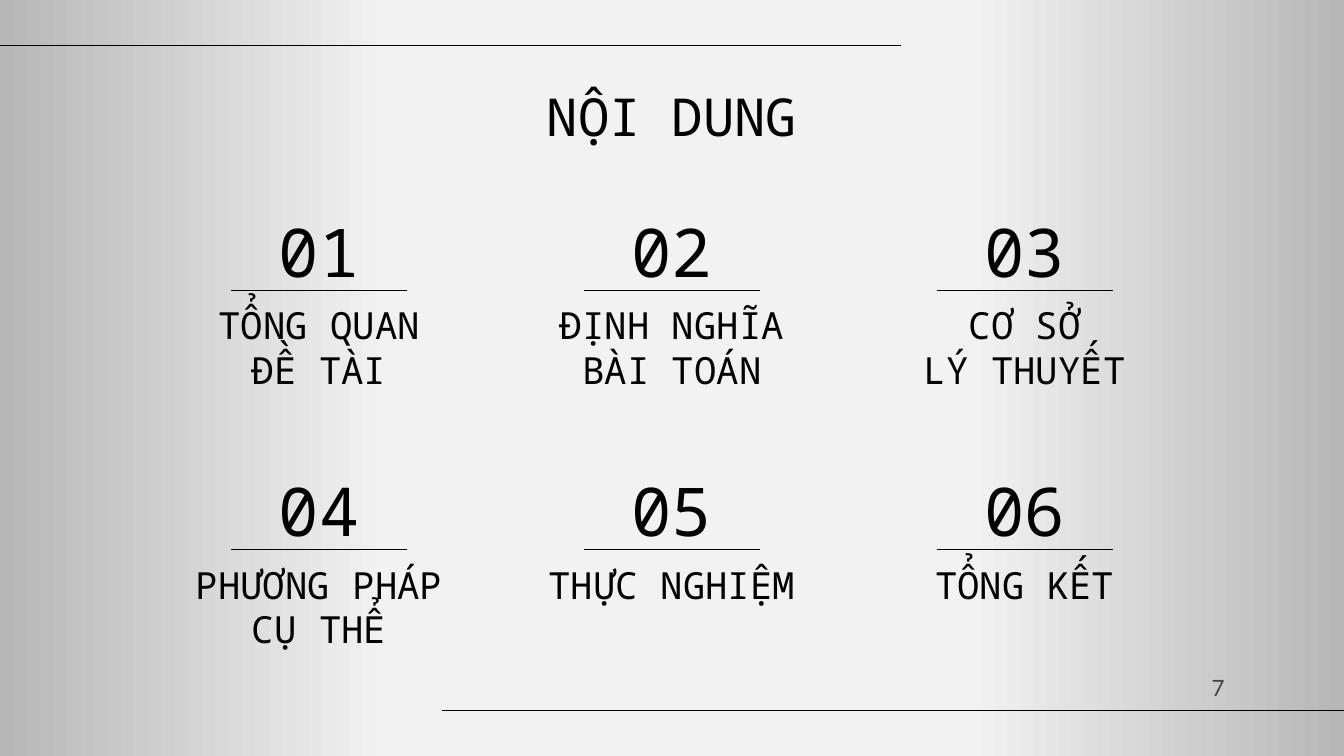
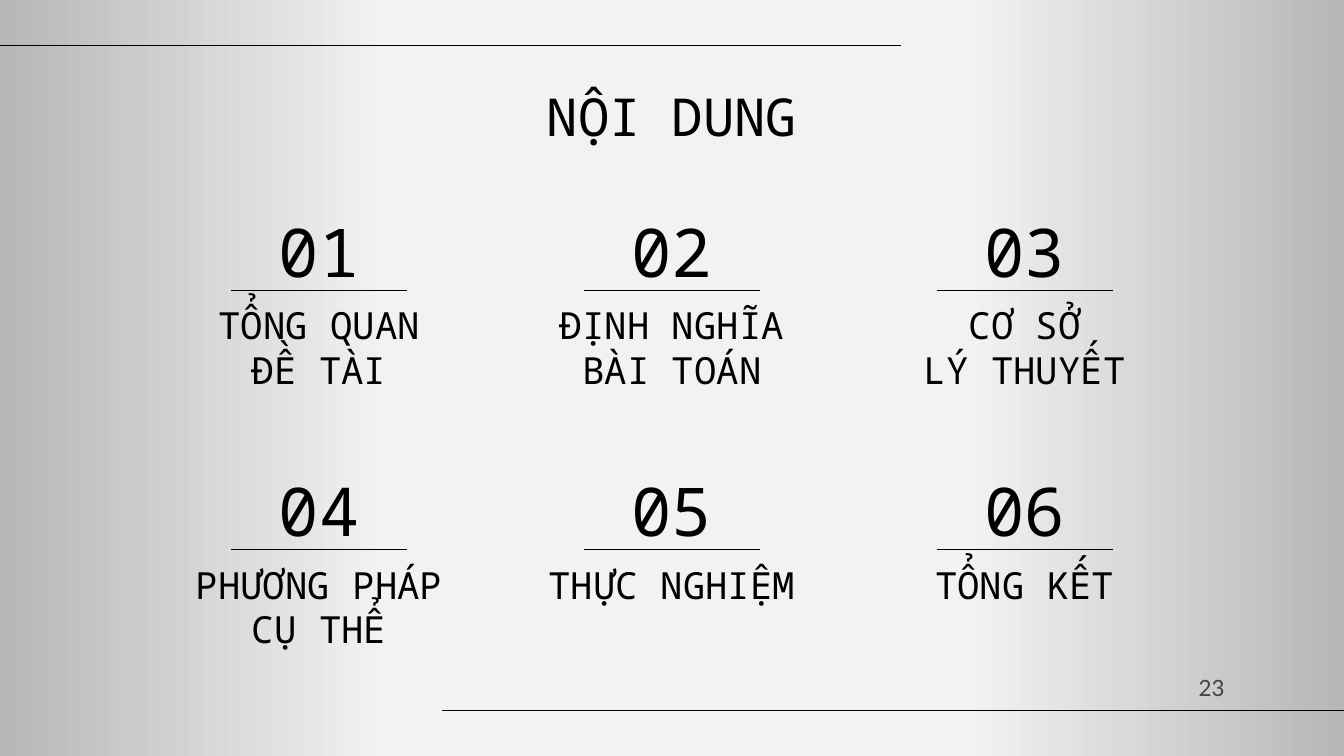
from lxml import etree
from pptx import Presentation
from pptx import util as u
from pptx.dml.color import RGBColor
from pptx.enum import shapes, text
from pptx.oxml.ns import qn

PX = 4572  # EMU in one px, 200 px to the inch
BLACK = RGBColor(0x00, 0x00, 0x00)
GREY = RGBColor(0x43, 0x43, 0x43)
EDGE = RGBColor(0xB7, 0xB7, 0xB7)
CENTRE = RGBColor(0xF2, 0xF2, 0xF2)
BACKGROUND_STOPS = [(0, EDGE), (29, CENTRE), (72, CENTRE), (100, EDGE)]
MONO = "Noto Sans Mono"
LATO = "Lato"

# Agenda grid: column centres and rule heights
COLUMNS = [475, 1000, 1525]
ROWS = [432, 818]
RULE_WIDTH = 262
NUMBER_WIDTH, NUMBER_HEIGHT = 192, 116
LABEL_WIDTH = 408
LABEL_GAP = 10  # keeps stacked accents clear of the rule

# Label paragraphs, label box width and height, in reading order
TOPICS = [
    (["TỔNG QUAN ĐỀ TÀI"], LABEL_WIDTH, 160),
    (["ĐỊNH NGHĨA BÀI TOÁN"], LABEL_WIDTH, 160),
    (["CƠ SỞ", "LÝ THUYẾT"], LABEL_WIDTH, 140),
    (["PHƯƠNG PHÁP", "CỤ THỂ"], 428, 154),
    (["THỰC NGHIỆM"], LABEL_WIDTH, 82),
    (["TỔNG KẾT"], LABEL_WIDTH, 82),
]
PAGE_NUMBERS = [7, 23]


def px(value):
    return u.Emu(round(value * PX))


def add_text(slide, lines, left, top, width, height, *, size, font=MONO,
             color=BLACK, align=text.PP_ALIGN.CENTER,
             anchor=text.MSO_ANCHOR.TOP, inset=(8, 8)):
    shape = slide.shapes.add_textbox(px(left), px(top), px(width), px(height))
    frame = shape.text_frame
    frame.word_wrap = True
    frame.vertical_anchor = anchor
    frame.margin_left = frame.margin_right = px(inset[0])
    frame.margin_top = frame.margin_bottom = px(inset[1])
    frame.text = "\n".join(lines)
    for paragraph in frame.paragraphs:
        paragraph.alignment = align
        for run in paragraph.runs:
            run.font.size = u.Pt(size)
            run.font.name = font
            run.font.color.rgb = color


def add_rule(slide, start, end, y):
    rule = slide.shapes.add_connector(
        shapes.MSO_CONNECTOR.STRAIGHT, px(start), px(y), px(end), px(y))
    rule.line.color.rgb = BLACK
    rule.line.width = u.Pt(0.75)
    etree.SubElement(rule.element.spPr, qn("a:effectLst"))


def set_background(slide):
    fill = slide.background.fill
    fill.gradient()
    fill.gradient_angle = 0
    stop_list = next(slide.element.iter(qn("a:gsLst")))
    for stop in list(stop_list):
        stop_list.remove(stop)
    for position, color in BACKGROUND_STOPS:
        stop = etree.SubElement(stop_list, qn("a:gs"), pos=str(position * 1000))
        etree.SubElement(stop, qn("a:srgbClr"), val=str(color))


def add_frame(slide, title, page_number):
    """Background, edge rules, title and page number."""
    set_background(slide)
    add_rule(slide, 1341, -20, 68)
    add_rule(slide, 2020, 658, 1057)
    add_text(slide, [title], 158, 118, 1684, 126, size=28)
    add_text(slide, [str(page_number)], 1392, 993, 450, 60, size=12,
             font=LATO, color=GREY, align=text.PP_ALIGN.RIGHT,
             anchor=text.MSO_ANCHOR.MIDDLE, inset=(20, 20))


def add_topic(slide, index, lines, width, height):
    """Number above a short rule, label below it."""
    row, column = divmod(index, len(COLUMNS))
    centre, rule_y = COLUMNS[column], ROWS[row]
    add_text(slide, [f"{index + 1:02}"], centre - NUMBER_WIDTH / 2,
             rule_y - NUMBER_HEIGHT - 1, NUMBER_WIDTH, NUMBER_HEIGHT,
             size=36, anchor=text.MSO_ANCHOR.MIDDLE)
    add_text(slide, lines, centre - width / 2, rule_y + LABEL_GAP,
             width, height, size=20)
    add_rule(slide, centre - RULE_WIDTH / 2, centre + RULE_WIDTH / 2, rule_y)


def main():
    presentation = Presentation()
    presentation.slide_width = px(2000)
    presentation.slide_height = px(1125)
    for page_number in PAGE_NUMBERS:
        slide = presentation.slides.add_slide(presentation.slide_layouts[6])
        add_frame(slide, "NỘI DUNG", page_number)
        for index, (lines, width, height) in enumerate(TOPICS):
            add_topic(slide, index, lines, width, height)
    presentation.save("out.pptx")


if __name__ == "__main__":
    main()
